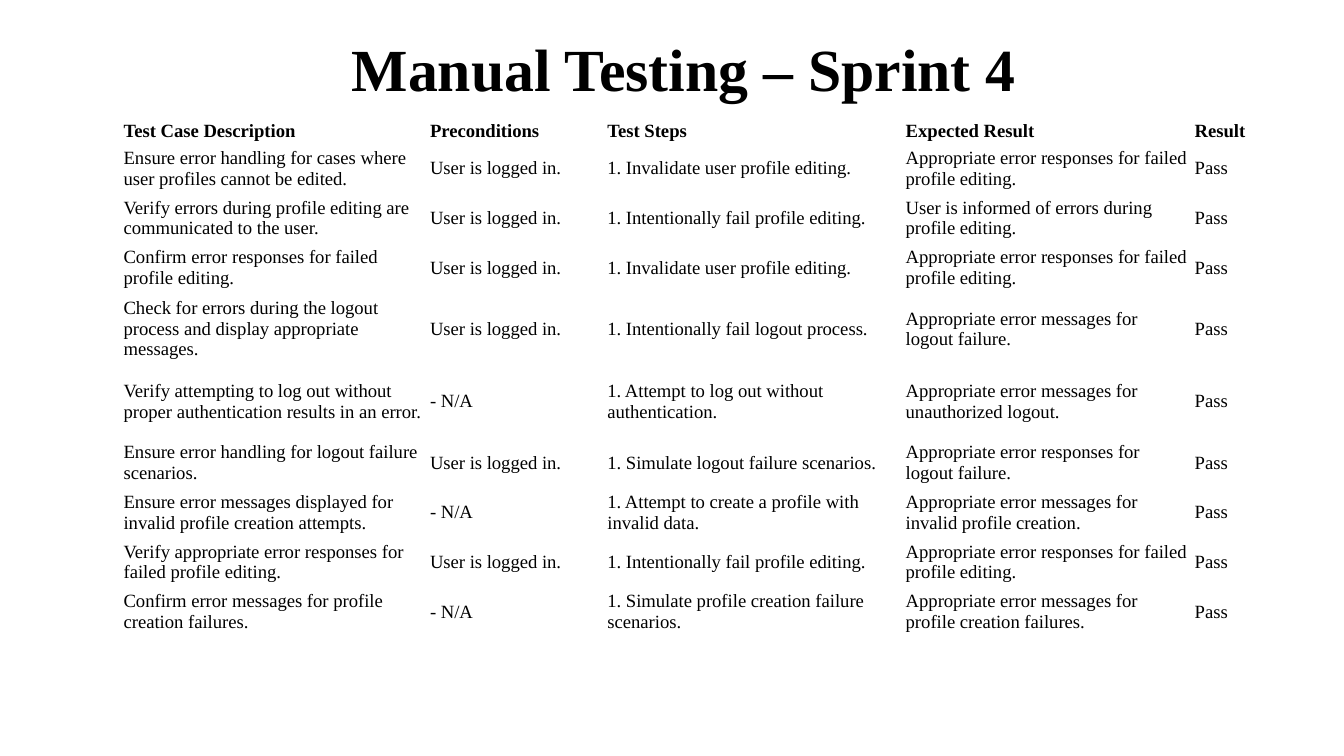
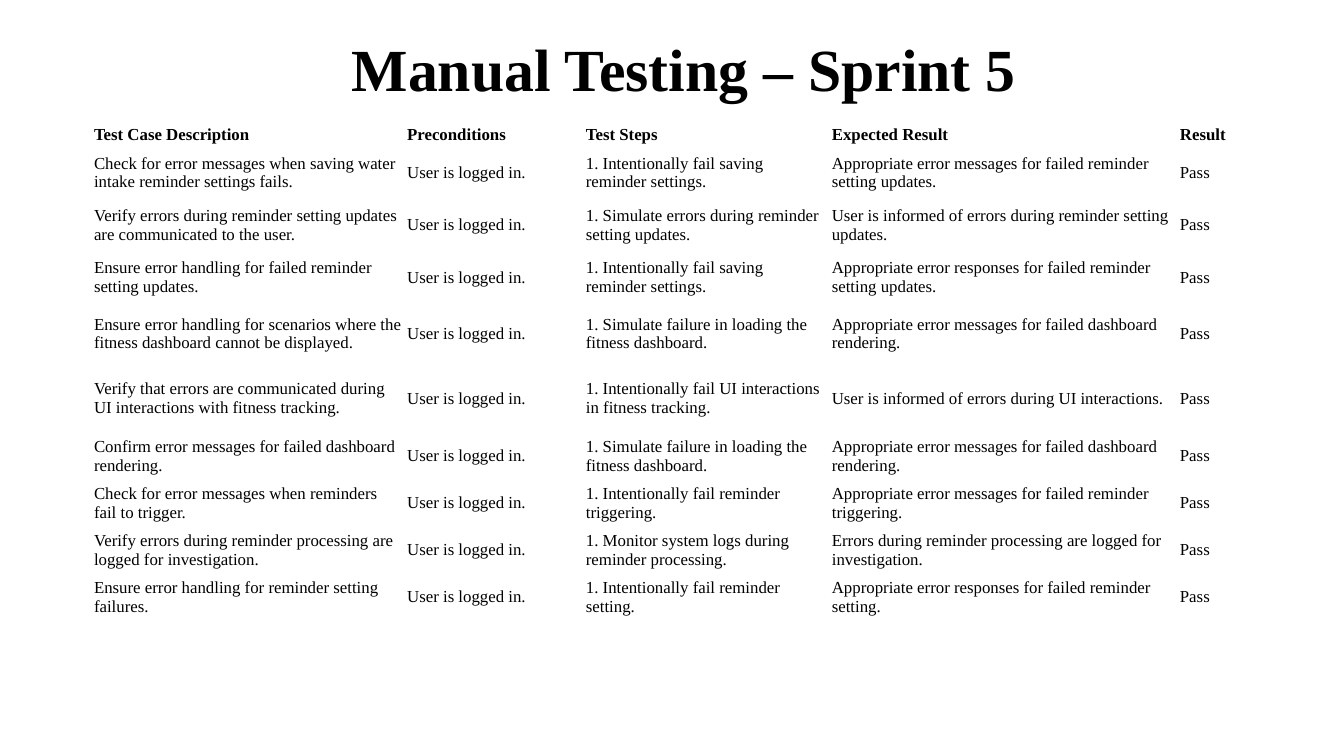
from pptx import Presentation
from pptx.dml.color import RGBColor
from pptx.enum.text import MSO_ANCHOR, MSO_AUTO_SIZE, PP_ALIGN
from pptx.util import Inches, Pt

# Content: each test is (description, preconditions, steps, expected result)
HEADERS = ("Test Case Description", "Preconditions", "Test Steps",
           "Expected Result", "Result")
LOGGED_IN = "User is logged in."
NOT_APPLICABLE = "- N/A"
PASS = "Pass"

SPRINT_4_TESTS = [
    ("Ensure error handling for cases where user profiles cannot be edited.",
     LOGGED_IN, "1. Invalidate user profile editing.",
     "Appropriate error responses for failed profile editing."),
    ("Verify errors during profile editing are communicated to the user.",
     LOGGED_IN, "1. Intentionally fail profile editing.",
     "User is informed of errors during profile editing."),
    ("Confirm error responses for failed profile editing.",
     LOGGED_IN, "1. Invalidate user profile editing.",
     "Appropriate error responses for failed profile editing."),
    ("Check for errors during the logout process and display appropriate messages.",
     LOGGED_IN, "1. Intentionally fail logout process.",
     "Appropriate error messages for logout failure."),
    ("Verify attempting to log out without proper authentication results in an error.",
     NOT_APPLICABLE, "1. Attempt to log out without authentication.",
     "Appropriate error messages for unauthorized logout."),
    ("Ensure error handling for logout failure scenarios.",
     LOGGED_IN, "1. Simulate logout failure scenarios.",
     "Appropriate error responses for logout failure."),
    ("Ensure error messages displayed for invalid profile creation attempts.",
     NOT_APPLICABLE, "1. Attempt to create a profile with invalid data.",
     "Appropriate error messages for invalid profile creation."),
    ("Verify appropriate error responses for failed profile editing.",
     LOGGED_IN, "1. Intentionally fail profile editing.",
     "Appropriate error responses for failed profile editing."),
    ("Confirm error messages for profile creation failures.",
     NOT_APPLICABLE, "1. Simulate profile creation failure scenarios.",
     "Appropriate error messages for profile creation failures."),
]

SPRINT_5_TESTS = [
    ("Check for error messages when saving water intake reminder settings fails.",
     LOGGED_IN, "1. Intentionally fail saving reminder settings.",
     "Appropriate error messages for failed reminder setting updates."),
    ("Verify errors during reminder setting updates are communicated to the user.",
     LOGGED_IN, "1. Simulate errors during reminder setting updates.",
     "User is informed of errors during reminder setting updates."),
    ("Ensure error handling for failed reminder setting updates.",
     LOGGED_IN, "1. Intentionally fail saving reminder settings.",
     "Appropriate error responses for failed reminder setting updates."),
    ("Ensure error handling for scenarios where the fitness dashboard cannot be displayed.",
     LOGGED_IN, "1. Simulate failure in loading the fitness dashboard.",
     "Appropriate error messages for failed dashboard rendering."),
    ("Verify that errors are communicated during UI interactions with fitness tracking.",
     LOGGED_IN, "1. Intentionally fail UI interactions in fitness tracking.",
     "User is informed of errors during UI interactions."),
    ("Confirm error messages for failed dashboard rendering.",
     LOGGED_IN, "1. Simulate failure in loading the fitness dashboard.",
     "Appropriate error messages for failed dashboard rendering."),
    ("Check for error messages when reminders fail to trigger.",
     LOGGED_IN, "1. Intentionally fail reminder triggering.",
     "Appropriate error messages for failed reminder triggering."),
    ("Verify errors during reminder processing are logged for investigation.",
     LOGGED_IN, "1. Monitor system logs during reminder processing.",
     "Errors during reminder processing are logged for investigation."),
    ("Ensure error handling for reminder setting failures.",
     LOGGED_IN, "1. Intentionally fail reminder setting.",
     "Appropriate error responses for failed reminder setting."),
]

SPRINTS = [
    {"title": "Manual Testing – Sprint 4", "tests": SPRINT_4_TESTS,
     "left": 0.9, "top": 0.88, "size": 10,
     "columns": (2.28, 1.32, 2.22, 2.15, 1.03),
     "rows": [0.19] + [0.37] * 3 + [0.54] * 2 + [0.37] * 4},
    {"title": "Manual Testing – Sprint 5", "tests": SPRINT_5_TESTS,
     "left": 0.68, "top": 0.91, "size": 9,
     "columns": (2.33, 1.33, 1.83, 2.59, 1.07),
     "rows": [0.18] + [0.39] * 3 + [0.45, 0.51] + [0.35] * 4},
]

# Shared style
COLORS = {"text": "000000", "background": "FFFFFF"}
FONT = "Times New Roman"
TITLE_ONLY = 5
SLIDE_WIDTH = Inches(10)
SLIDE_HEIGHT = SLIDE_WIDTH * 9 // 16


def add_text(paragraph, text, size, bold):
    run = paragraph.add_run()
    run.text = text
    run.font.name = FONT
    run.font.size = Pt(size)
    run.font.bold = bold
    run.font.color.rgb = RGBColor.from_string(COLORS["text"])


def add_title(slide, text):
    title = slide.shapes.title
    title.left, title.top = Inches(0.59), Inches(0.1)
    title.width, title.height = Inches(9), Inches(0.8)
    frame = title.text_frame
    frame.auto_size = MSO_AUTO_SIZE.NONE
    frame.vertical_anchor = MSO_ANCHOR.MIDDLE
    paragraph = frame.paragraphs[0]
    paragraph.alignment = PP_ALIGN.CENTER
    add_text(paragraph, text, 32, True)


def fill_cell(cell, text, size, bold):
    cell.fill.background()
    cell.vertical_anchor = MSO_ANCHOR.MIDDLE
    cell.margin_left = cell.margin_right = Inches(0.02)
    cell.margin_top = cell.margin_bottom = Inches(0.01)
    add_text(cell.text_frame.paragraphs[0], text, size, bold)


def add_test_table(slide, sprint):
    columns, rows = sprint["columns"], sprint["rows"]
    table = slide.shapes.add_table(
        len(rows), len(columns), Inches(sprint["left"]), Inches(sprint["top"]),
        Inches(sum(columns)), Inches(sum(rows))).table
    table.first_row = table.horz_banding = False
    for column, width in zip(table.columns, columns):
        column.width = Inches(width)
    for row, height in zip(table.rows, rows):
        row.height = Inches(height)

    # Header row, then one row per test
    contents = [HEADERS] + [test + (PASS,) for test in sprint["tests"]]
    for row_index, texts in enumerate(contents):
        for column_index, text in enumerate(texts):
            fill_cell(table.cell(row_index, column_index), text,
                      sprint["size"], row_index == 0)


def main():
    presentation = Presentation()
    presentation.slide_width = SLIDE_WIDTH
    presentation.slide_height = SLIDE_HEIGHT
    background = presentation.slide_master.background.fill
    background.solid()
    background.fore_color.rgb = RGBColor.from_string(COLORS["background"])
    for sprint in SPRINTS:
        slide = presentation.slides.add_slide(
            presentation.slide_layouts[TITLE_ONLY])
        add_title(slide, sprint["title"])
        add_test_table(slide, sprint)
    presentation.save("out.pptx")


if __name__ == "__main__":
    main()
